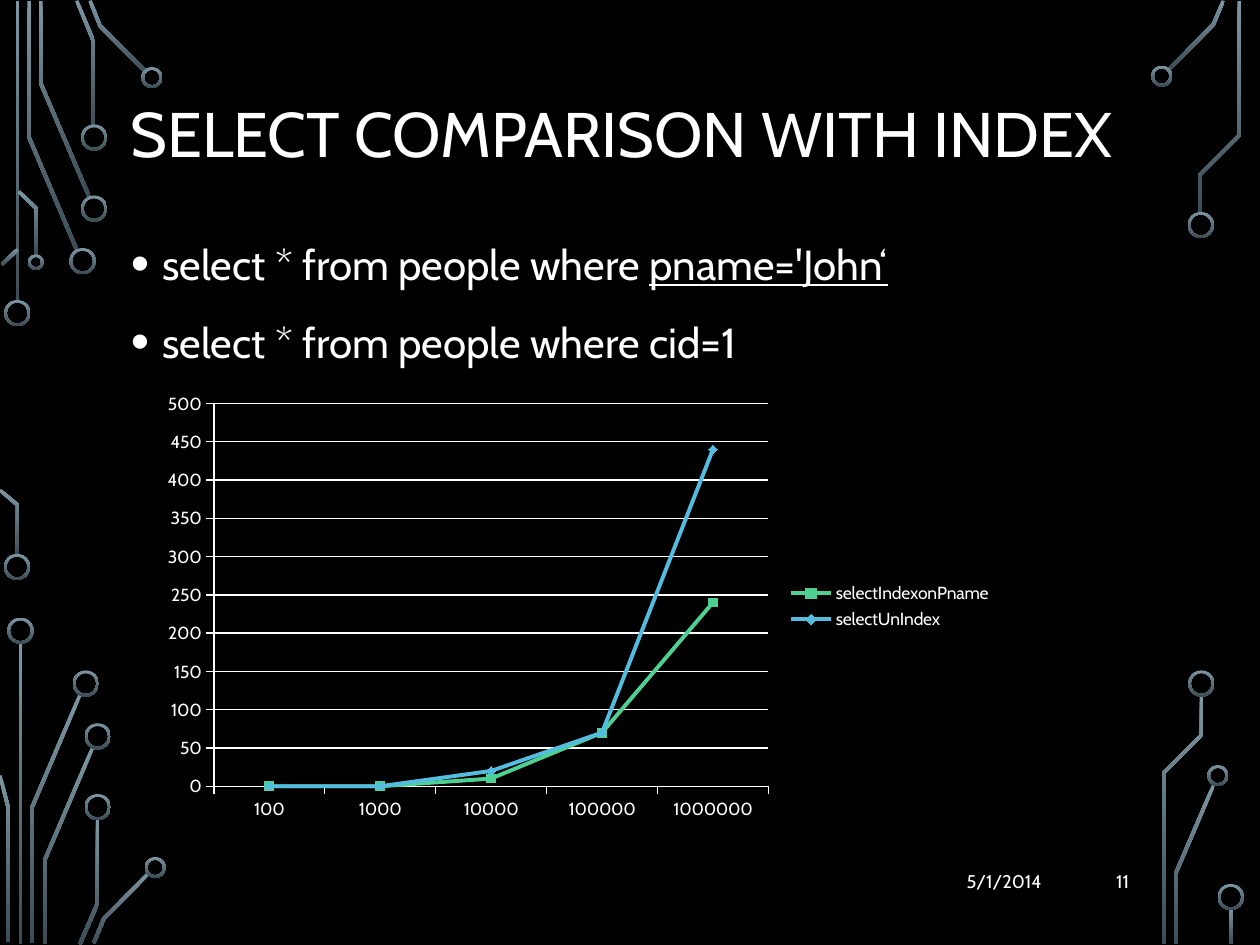
from dataclasses import dataclass
from math import hypot

from lxml import etree
from pptx import Presentation
from pptx.chart.data import CategoryChartData
from pptx.dml.color import RGBColor
from pptx.enum.chart import XL_CHART_TYPE, XL_LEGEND_POSITION, XL_MARKER_STYLE, XL_TICK_MARK
from pptx.enum.shapes import MSO_SHAPE
from pptx.enum.text import MSO_ANCHOR, PP_ALIGN
from pptx.oxml.ns import qn
from pptx.util import Pt

RECT, DONUT = MSO_SHAPE.RECTANGLE, MSO_SHAPE.DONUT
LINES = XL_CHART_TYPE.LINE_MARKERS
SQUARE, DIAMOND = XL_MARKER_STYLE.SQUARE, XL_MARKER_STYLE.DIAMOND
OUTSIDE, ON_RIGHT = XL_TICK_MARK.OUTSIDE, XL_LEGEND_POSITION.RIGHT
LEFT, RIGHT = PP_ALIGN.LEFT, PP_ALIGN.RIGHT
TOP, MIDDLE = MSO_ANCHOR.TOP, MSO_ANCHOR.MIDDLE


@dataclass(frozen=True)
class Theme:
    font: str = "Cabin"
    back: str = "000000"
    text: str = "FFFFFF"
    light: str = "7C96A3"
    dark: str = "3B4C54"
    green: str = "4FD093"
    blue: str = "54BCDF"
    title: float = 36
    body: float = 24
    foot: float = 10.5
    label: float = 10


THEME = Theme()
TRACE = 2  # width of a circuit trace

# Circuit art: left, top, width, height
BARS = [(8.9, 0.7, TRACE, 172), (10.6, 367.2, TRACE, 172), (702.5, 519.1, TRACE, 20.2)]

# Centre lines of the bent traces
TRACES = [
    [(16.6, 0.7), (16.6, 78.5), (43.9, 142.9)],
    [(23.4, 0.7), (23.4, 47.9), (51.1, 112.7)],
    [(43.9, 0.4), (53.6, 23.8), (53.6, 72)],
    [(51.5, 0.4), (57.2, 14.8), (83.2, 41)],
    [(1.1, 151.2), (10.1, 142.6)],
    [(0, 280.1), (10.1, 288.7), (10.1, 317.5)],
    [(10.8, 109.4), (20.9, 119.2), (20.9, 146.2)],
    [(18.4, 538.6), (18.4, 461.2), (45.7, 397.1)],
    [(4.7, 538.6), (4.7, 461.5), (0, 443.2)],
    [(25.6, 539.3), (25.6, 491.4), (52.9, 427.3)],
    [(45.7, 539.6), (55.8, 516.2), (55.8, 468)],
    [(53.6, 538.9), (59.4, 524.9), (85, 499)],
    [(667.8, 40), (693.4, 14), (699.1, 0.4)],
    [(671.8, 539.3), (671.8, 499.3), (693.4, 448.9)],
    [(685.8, 121.7), (685.8, 99.7), (708.1, 77.4), (708.1, 0.7)],
    [(664.9, 539.3), (664.9, 441.7), (686.5, 420.1), (686.5, 397.4)],
]

# Ring centres by outer size
RINGS = {
    15: [(9.9, 178.9), (9.7, 324), (47.2, 149.2), (53.8, 119.2), (53.8, 78.6),
         (11.7, 360.4), (49, 390.6), (55.8, 420.8), (55.8, 461.2),
         (686.2, 128.6), (686.5, 390.6), (703.3, 512.6)],
    12: [(86.8, 44.3), (88.7, 495.7), (663.9, 43.5), (695.9, 443.2)],
    9: [(20.5, 149.8)],
}

CATS = ["100", "1000", "10000", "100000", "1000000"]
SERIES = [
    ("selectIndexonPname", (0, 0, 10, 70, 240), THEME.green, SQUARE),
    ("selectUnIndex", (0, 0, 20, 70, 440), THEME.blue, DIAMOND),
]


def rgb(code):
    return RGBColor.from_string(code)


def paint(fill, code):
    fill.solid()
    fill.fore_color.rgb = rgb(code)


def shade(shape):
    """Fade from light at the top to dark at the foot, with no outline."""
    shape.shadow.inherit = False
    shape.line.fill.background()
    shape.fill.gradient()
    shape.fill.gradient_angle = 270
    for stop, code in zip(shape.fill.gradient_stops, (THEME.light, THEME.dark)):
        stop.color.rgb = rgb(code)


def add_block(slide, kind, box):
    shape = slide.shapes.add_shape(kind, *map(Pt, box))
    shade(shape)
    return shape


def add_ring(slide, x, y, size):
    ring = add_block(slide, DONUT, (x - size / 2, y - size / 2, size, size))
    ring.adjustments[0] = 1.5 / size


def edges(line):
    """Outline of a centre line, with mitred bends."""
    norms = []
    for (x1, y1), (x2, y2) in zip(line, line[1:]):
        span = hypot(x2 - x1, y2 - y1)
        norms.append(((y1 - y2) / span, (x2 - x1) / span))
    near, far = [], []
    for (x, y), (ax, ay), (bx, by) in zip(line, norms[:1] + norms, norms + norms[-1:]):
        size = TRACE / 2 / (1 + ax * bx + ay * by)
        dx, dy = (ax + bx) * size, (ay + by) * size
        near.append((x + dx, y + dy))
        far.append((x - dx, y - dy))
    return near + far[::-1]


def add_trace(slide, line):
    # The builder rounds to whole units, so work in hundredths of a point
    first, *rest = [(x * 100, y * 100) for x, y in edges(line)]
    pen = slide.shapes.build_freeform(*first, scale=Pt(1) / 100)
    pen.add_line_segments(rest, close=True)
    shade(pen.convert_to_shape())


def add_text(slide, box, paras, size, anchor=MIDDLE, align=LEFT, space=1.0):
    """Each paragraph is a list of (text, underline) runs."""
    frame = slide.shapes.add_textbox(*map(Pt, box)).text_frame
    frame.word_wrap = True
    frame.vertical_anchor = anchor
    for i, runs in enumerate(paras):
        para = frame.add_paragraph() if i else frame.paragraphs[0]
        para.alignment, para.line_spacing = align, space
        for text, under in runs:
            run = para.add_run()
            run.text = text
            font = run.font
            font.name, font.size, font.underline = THEME.font, Pt(size), under
            font.color.rgb = rgb(THEME.text)
    return frame


def add_dots(frame):
    for para in frame.paragraphs:
        para.space_before = Pt(10)
        props = para._p.get_or_add_pPr()
        props.set("marL", str(Pt(18)))
        props.set("indent", str(Pt(-18)))
        etree.SubElement(props, qn("a:buSzPct"), val="125000")
        etree.SubElement(props, qn("a:buFont"), typeface="Arial")
        etree.SubElement(props, qn("a:buChar"), char="•")


def add_graph(slide, box):
    data = CategoryChartData()
    data.categories = CATS
    for name, vals, *_ in SERIES:
        data.add_series(name, vals)
    chart = slide.shapes.add_chart(LINES, *map(Pt, box), data).chart
    chart.has_title = False
    chart.font.name, chart.font.size = THEME.font, Pt(THEME.label)
    chart.font.color.rgb = rgb(THEME.text)
    chart.has_legend = True
    chart.legend.position = ON_RIGHT
    chart.legend.include_in_layout = False

    # Axes and grid
    scale = chart.value_axis
    scale.minimum_scale, scale.maximum_scale, scale.major_unit = 0, 500, 50
    scale.has_major_gridlines = True
    for axis in (chart.category_axis, scale):
        axis.major_tick_mark = OUTSIDE
    for part in (chart.category_axis, scale, scale.major_gridlines):
        part.format.line.width = Pt(0.75)
        paint(part.format.line.fill, THEME.text)

    # Lines and markers
    plot = chart.plots[0]
    plot.vary_by_categories = False
    for row, (_, _, code, style) in zip(plot.series, SERIES):
        row.smooth = False
        row.format.line.width = Pt(2.25)
        row.marker.style, row.marker.size = style, 5
        paint(row.marker.format.fill, code)
        for part in (row, row.marker):
            paint(part.format.line.fill, code)


def main():
    deck = Presentation()
    deck.slide_width, deck.slide_height = Pt(720), Pt(540)
    slide = deck.slides.add_slide(deck.slide_layouts[6])
    paint(slide.background.fill, THEME.back)

    # Circuit art
    for box in BARS:
        add_block(slide, RECT, box)
    for line in TRACES:
        add_trace(slide, line)
    for size, spots in RINGS.items():
        for x, y in spots:
            add_ring(slide, x, y, size)

    # Title and queries
    add_text(slide, (67.5, 20, 585, 117), [[("SELECT COMPARISON WITH INDEX", False)]],
             THEME.title, space=0.9)
    query = "select * from people where "
    body = add_text(slide, (67.7, 127, 585, 325),
                    [[(query, False), ("pname='John‘", True)], [(query + "cid=1", False)]],
                    THEME.body, anchor=TOP, space=1.2)
    add_dots(body)

    # Date and page number
    for left, width, text in ((440.3, 162, "5/1/2014"), (606.8, 45.5, "11")):
        add_text(slide, (left, 489, width, 28.75), [[(text, False)]], THEME.foot, align=RIGHT)

    add_graph(slide, (86, 219.5, 488, 254))
    deck.save("out.pptx")


if __name__ == "__main__":
    main()
